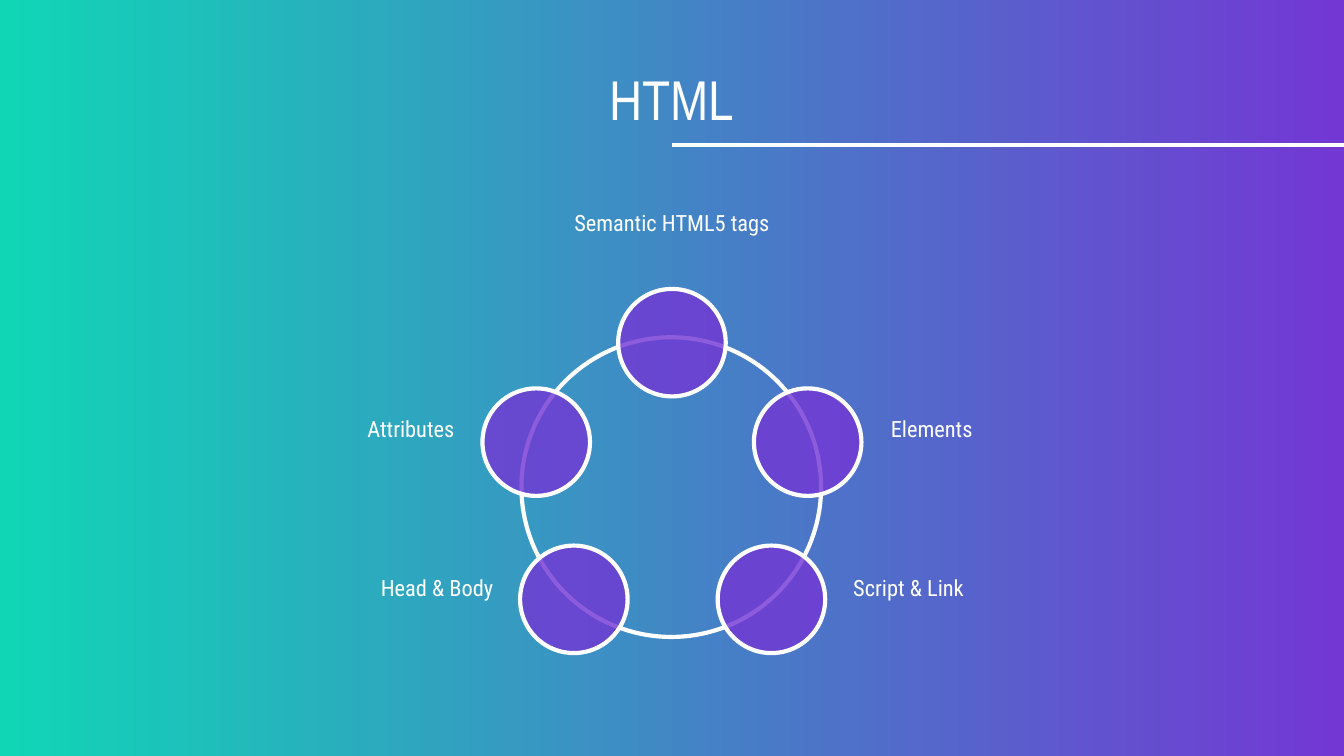
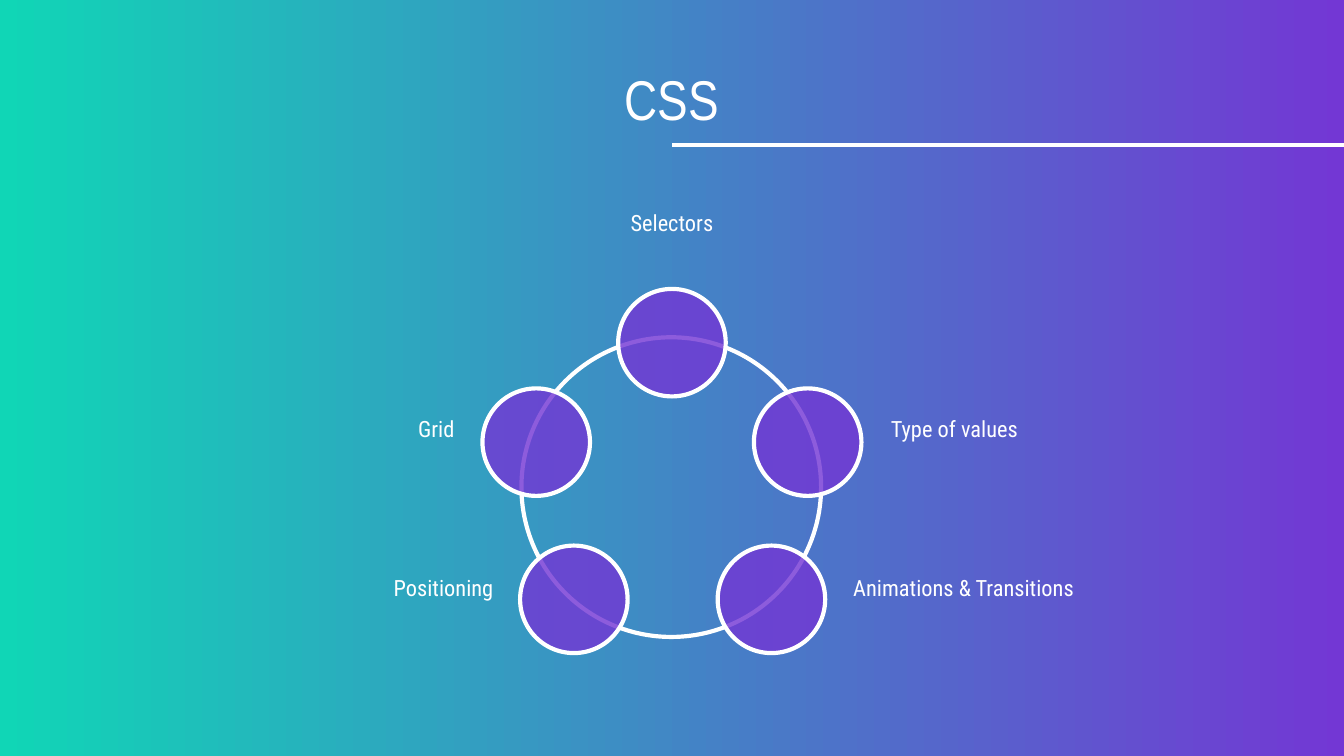
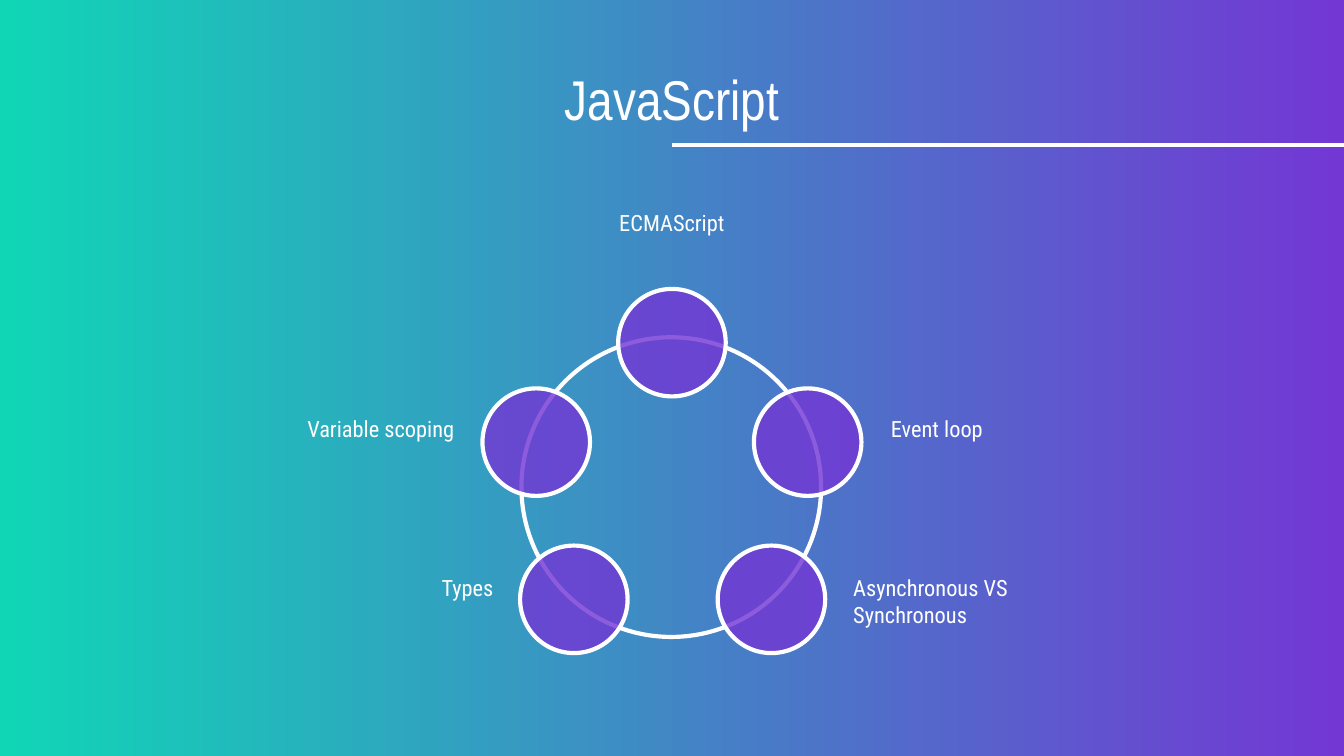
"""Build three web technology slides, each with five topics around a ring."""
from lxml.etree import SubElement
from pptx import Presentation
from pptx.dml.color import RGBColor
from pptx.enum.shapes import MSO_CONNECTOR, MSO_SHAPE
from pptx.enum.text import MSO_ANCHOR as Anchor, PP_ALIGN as Align
from pptx.oxml.ns import qn
from pptx.util import Inches, Pt

TOPICS = [
    ("HTML", ["Elements", "Attributes", "Script & Link", "Head & Body",
              "Semantic HTML5 tags"]),
    ("CSS", ["Type of values", "Grid", "Animations & Transitions", "Positioning",
             "Selectors"]),
    ("JavaScript", ["Event loop", "Variable scoping", "Asynchronous VS Synchronous",
                    "Types", "ECMAScript"]),
]

WHITE = RGBColor(0xFF, 0xFF, 0xFF)
TEAL = RGBColor(0x10, 0xD6, 0xB6)
PURPLE = RGBColor(0x73, 0x37, 0xD4)
TITLE_FONT, LABEL_FONT = "Arial Narrow", "Roboto Condensed"
LINE_WIDTH = Pt(2.25)

PAGE_WIDTH = Inches(10)
PAGE_HEIGHT = PAGE_WIDTH * 9 // 16
TITLE_AREA = (0.68, 0.15, 8.64, 0.93)
RULE_TOP = Inches(1.08)
RING = (3.88, 2.51, 2.23)
NODE_SIZE = 0.8
NODES = [(3.59, 2.89), (5.61, 2.89), (3.87, 4.06), (5.34, 4.06), (4.6, 2.15)]
LABEL_HEIGHT = 0.6
LABELS = [
    (6.53, 2.99, 2.08, Align.LEFT),
    (1.51, 2.99, 1.97, Align.RIGHT),
    (6.25, 4.17, 2.08, Align.LEFT),
    (1.8, 4.17, 1.97, Align.RIGHT),
    (3.96, 1.46, 2.08, Align.CENTER),
]


def set_opacity(element, percent):
    color = next(element.iter(qn("a:srgbClr")))
    SubElement(color, qn("a:alpha"), val=str(percent * 1000))


def paint_background(page):
    fill = page.background.fill
    fill.gradient()
    fill.gradient_angle = 0
    for stop, color in zip(fill.gradient_stops, (TEAL, PURPLE)):
        stop.color.rgb = color
    set_opacity(page.element, 71)


def add_rule(page):
    rule = page.shapes.add_connector(MSO_CONNECTOR.STRAIGHT, PAGE_WIDTH // 2, RULE_TOP,
                                     PAGE_WIDTH, RULE_TOP)
    rule.line.color.rgb = WHITE
    rule.line.width = LINE_WIDTH
    SubElement(rule.element.spPr, qn("a:effectLst"))


def add_text(page, text, area, font, size, align, anchor=Anchor.TOP, space_after=0):
    box = page.shapes.add_textbox(*map(Inches, area))
    frame = box.text_frame
    frame.word_wrap = True
    frame.vertical_anchor = anchor
    frame.margin_left = frame.margin_right = Inches(0.1)
    frame.margin_top = frame.margin_bottom = Inches(0.1)
    para = frame.paragraphs[0]
    para.text = text
    para.alignment = align
    para.space_after = Pt(space_after)
    para.font.name = font
    para.font.size = Pt(size)
    para.font.color.rgb = WHITE


def add_circle(group, left, top, size):
    circle = group.shapes.add_shape(MSO_SHAPE.OVAL, *map(Inches, (left, top, size, size)))
    circle.shadow.inherit = False
    circle.fill.background()
    circle.line.color.rgb = WHITE
    circle.line.width = LINE_WIDTH
    return circle


def add_ring(page):
    group = page.shapes.add_group_shape()
    add_circle(group, *RING)
    for left, top in NODES:
        node = add_circle(group, left, top, NODE_SIZE)
        node.fill.solid()
        node.fill.fore_color.rgb = PURPLE
        set_opacity(node.element, 81)


def main():
    deck = Presentation()
    deck.slide_width, deck.slide_height = PAGE_WIDTH, PAGE_HEIGHT
    for title, labels in TOPICS:
        page = deck.slides.add_slide(deck.slide_layouts[6])
        paint_background(page)
        add_rule(page)
        add_text(page, title, TITLE_AREA, TITLE_FONT, 30, Align.CENTER, Anchor.BOTTOM)
        add_ring(page)
        for label, (left, top, width, align) in zip(labels, LABELS):
            add_text(page, label, (left, top, width, LABEL_HEIGHT), LABEL_FONT, 12, align,
                     space_after=16)
    deck.save("out.pptx")


if __name__ == "__main__":
    main()
